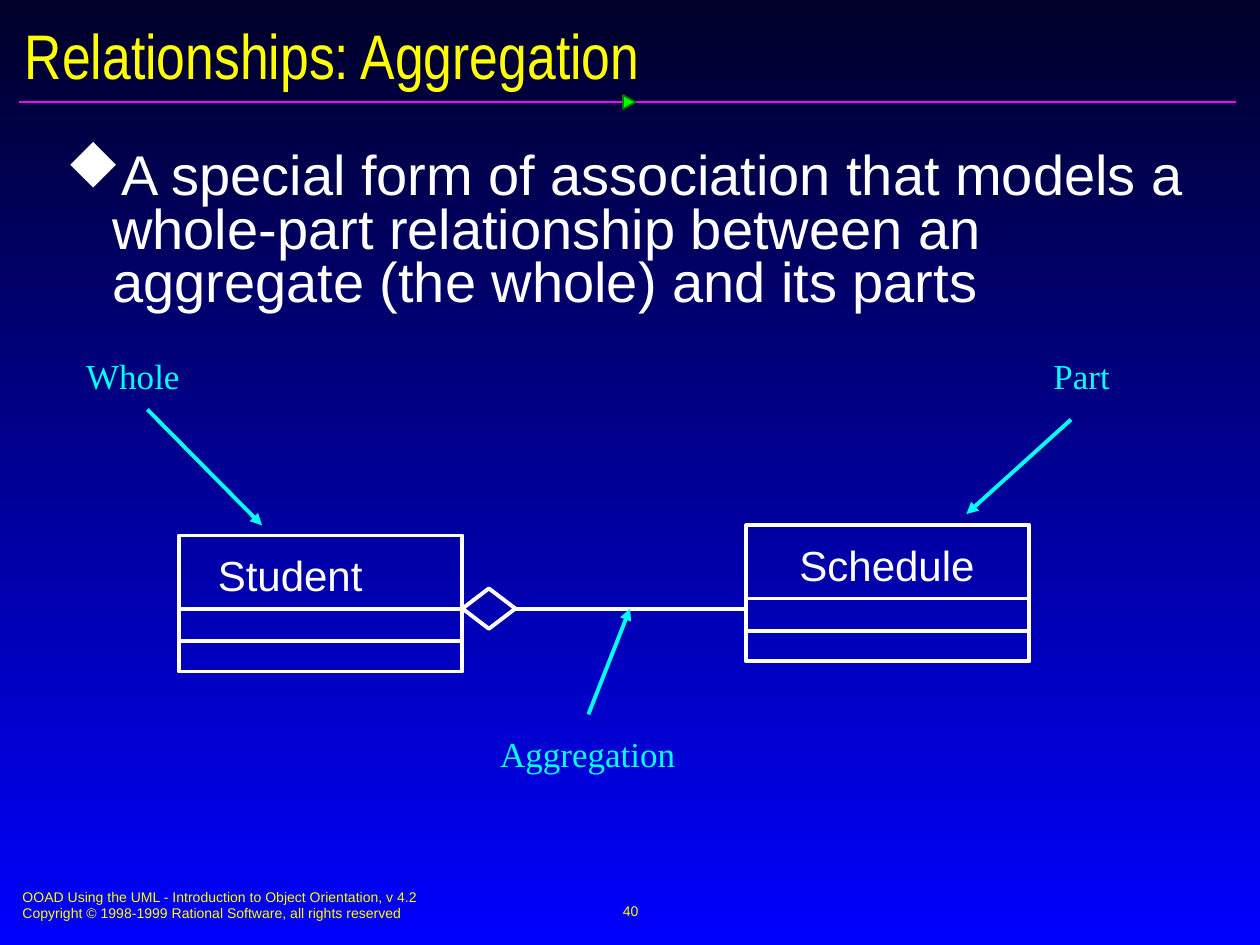
from lxml import etree
from pptx import Presentation
from pptx.dml.color import RGBColor
from pptx.enum.shapes import MSO_CONNECTOR, MSO_SHAPE
from pptx.enum.text import MSO_ANCHOR, PP_ALIGN
from pptx.oxml.ns import qn
from pptx.util import Inches, Pt

STRAIGHT = MSO_CONNECTOR.STRAIGHT
RECTANGLE, DIAMOND = MSO_SHAPE.RECTANGLE, MSO_SHAPE.DIAMOND
TRIANGLE = MSO_SHAPE.ISOSCELES_TRIANGLE
LEFT, CENTER = PP_ALIGN.LEFT, PP_ALIGN.CENTER
TOP, MIDDLE = MSO_ANCHOR.TOP, MSO_ANCHOR.MIDDLE

NIGHT = RGBColor(0x00, 0x00, 0x28)
BLUE = RGBColor(0x00, 0x00, 0xFF)
WHITE = RGBColor(0xFF, 0xFF, 0xFF)
YELLOW = RGBColor(0xFF, 0xFF, 0x00)
CYAN = RGBColor(0x00, 0xFF, 0xFF)
MAGENTA = RGBColor(0xFF, 0x01, 0xFF)
GREEN = RGBColor(0x00, 0xFF, 0x00)
DARK_GREEN = RGBColor(0x03, 0x7C, 0x03)

CLASS_WIDTH, CLASS_HEIGHT = 2.25, 1.08
DIVIDER_OFFSETS = (0.58, 0.84)
DIAMOND_BULLET = "u"  # a solid diamond in Wingdings


def paint_background(slide):
    fill = slide.background.fill
    fill.gradient()
    fill.gradient_angle = 270
    for stop, color in zip(fill.gradient_stops, (NIGHT, BLUE)):
        stop.color.rgb = color


def add_bullet(paragraph, char, color, indent):
    """Give the paragraph a Wingdings bullet with a hanging indent."""
    props = paragraph._p.get_or_add_pPr()
    props.set("marL", str(indent))
    props.set("indent", str(-indent))
    bullet_color = etree.SubElement(props, qn("a:buClr"))
    etree.SubElement(bullet_color, qn("a:srgbClr")).set("val", str(color))
    bullet_font = etree.SubElement(props, qn("a:buFont"))
    bullet_font.set("typeface", "Wingdings")
    bullet_font.set("pitchFamily", "2")
    bullet_font.set("charset", "2")
    etree.SubElement(props, qn("a:buChar")).set("char", char)


def add_text(slide, text, left, top, width, height, *, size, color,
             font="Arial", align=LEFT, anchor=TOP, inset=(0.1, 0.05),
             wrap=True, line_spacing=None, bullet=None):
    """Add a text box; each line of the text becomes a paragraph."""
    box = slide.shapes.add_textbox(Inches(left), Inches(top),
                                   Inches(width), Inches(height))
    frame = box.text_frame
    frame.word_wrap = wrap
    frame.vertical_anchor = anchor
    frame.margin_left = frame.margin_right = Inches(inset[0])
    frame.margin_top = frame.margin_bottom = Inches(inset[1])
    frame.text = text
    for paragraph in frame.paragraphs:
        if bullet:
            add_bullet(paragraph, bullet, color, Inches(0.37))
        paragraph.alignment = align
        if line_spacing:
            paragraph.line_spacing = line_spacing
        for run in paragraph.runs:
            run.font.name = font
            run.font.size = Pt(size)
            run.font.color.rgb = color


def add_outline(slide, kind, left, top, width, height, color, weight=2.25,
                fill=None):
    shape = slide.shapes.add_shape(kind, Inches(left), Inches(top),
                                   Inches(width), Inches(height))
    shape.shadow.inherit = False
    if fill is None:
        shape.fill.background()
    else:
        shape.fill.solid()
        shape.fill.fore_color.rgb = fill
    shape.line.color.rgb = color
    shape.line.width = Pt(weight)
    return shape


def add_line(slide, start, end, color, weight=2.25, arrow=False):
    points = [Inches(value) for value in (*start, *end)]
    line = slide.shapes.add_connector(STRAIGHT, *points)
    line.line.color.rgb = color
    line.line.width = Pt(weight)
    if arrow:
        tail = etree.SubElement(line.line._get_or_add_ln(), qn("a:tailEnd"))
        tail.set("type", "triangle")
    etree.SubElement(line._element.spPr, qn("a:effectLst"))
    return line


def add_class(slide, name, left, top, align):
    """Draw a UML class with a name and two empty compartments."""
    add_outline(slide, RECTANGLE, left, top, CLASS_WIDTH, CLASS_HEIGHT, WHITE)
    add_text(slide, name, left + 0.21, top + 0.06, 1.82, 0.5,
             size=24, color=WHITE, align=align)
    for offset in DIVIDER_OFFSETS:
        add_line(slide, (left, top + offset),
                 (left + CLASS_WIDTH, top + offset), WHITE)


def add_callout(slide, label, left, top, width, start, end):
    add_text(slide, label, left, top, width, 0.45, size=20, color=CYAN,
             font="Times New Roman", align=CENTER, inset=(0.12, 0.06))
    add_line(slide, start, end, CYAN, arrow=True)


def add_frame(slide):
    """Draw the title rule and the footer."""
    add_line(slide, (0.15, 0.81), (9.81, 0.81), MAGENTA, weight=1)
    marker = add_outline(slide, TRIANGLE, 4.94, 0.76, 0.11, 0.1,
                         DARK_GREEN, weight=1, fill=GREEN)
    marker.rotation = 90
    add_text(slide,
             "OOAD Using the UML - Introduction to Object Orientation, v 4.2\n"
             "Copyright © 1998-1999 Rational Software, all rights reserved",
             0.08, 7, 5.1, 0.37, size=8, color=YELLOW)
    add_text(slide, "40", 3.42, 6.98, 3.17, 0.5, size=8, color=YELLOW,
             align=CENTER, anchor=MIDDLE, wrap=False)


def add_association(slide):
    diamond = add_outline(slide, DIAMOND, 3.67, 4.67, 0.42, 0.32, WHITE)
    association = add_line(slide, (4.09, 4.83), (5.92, 4.83), WHITE)
    association.begin_connect(diamond, 3)


def main():
    prs = Presentation()
    prs.slide_width, prs.slide_height = Inches(10), Inches(7.5)
    slide = prs.slides.add_slide(prs.slide_layouts[6])
    paint_background(slide)
    add_frame(slide)
    add_text(slide, "Relationships: Aggregation", 0.1, 0.14, 9.84, 0.58,
             size=36, color=YELLOW, font="Arial Narrow", anchor=MIDDLE)
    add_text(slide,
             "A special form of association that models a whole-part "
             "relationship between an aggregate (the whole) and its parts",
             0.4, 1.15, 9.29, 5.52, size=32, color=WHITE,
             inset=(0.12, 0.06), line_spacing=0.8, bullet=DIAMOND_BULLET)
    add_class(slide, "Student", 1.42, 4.25, LEFT)
    add_class(slide, "Schedule", 5.92, 4.17, CENTER)
    add_association(slide)
    add_callout(slide, "Whole", 0.14, 2.75, 1.83, (1.17, 3.25), (2.08, 4.17))
    add_callout(slide, "Part", 7.42, 2.75, 2.33, (8.5, 3.33), (7.67, 4.08))
    add_callout(slide, "Aggregation", 3.5, 5.75, 2.33, (4.67, 5.67), (5, 4.83))
    prs.save("out.pptx")


if __name__ == "__main__":
    main()
